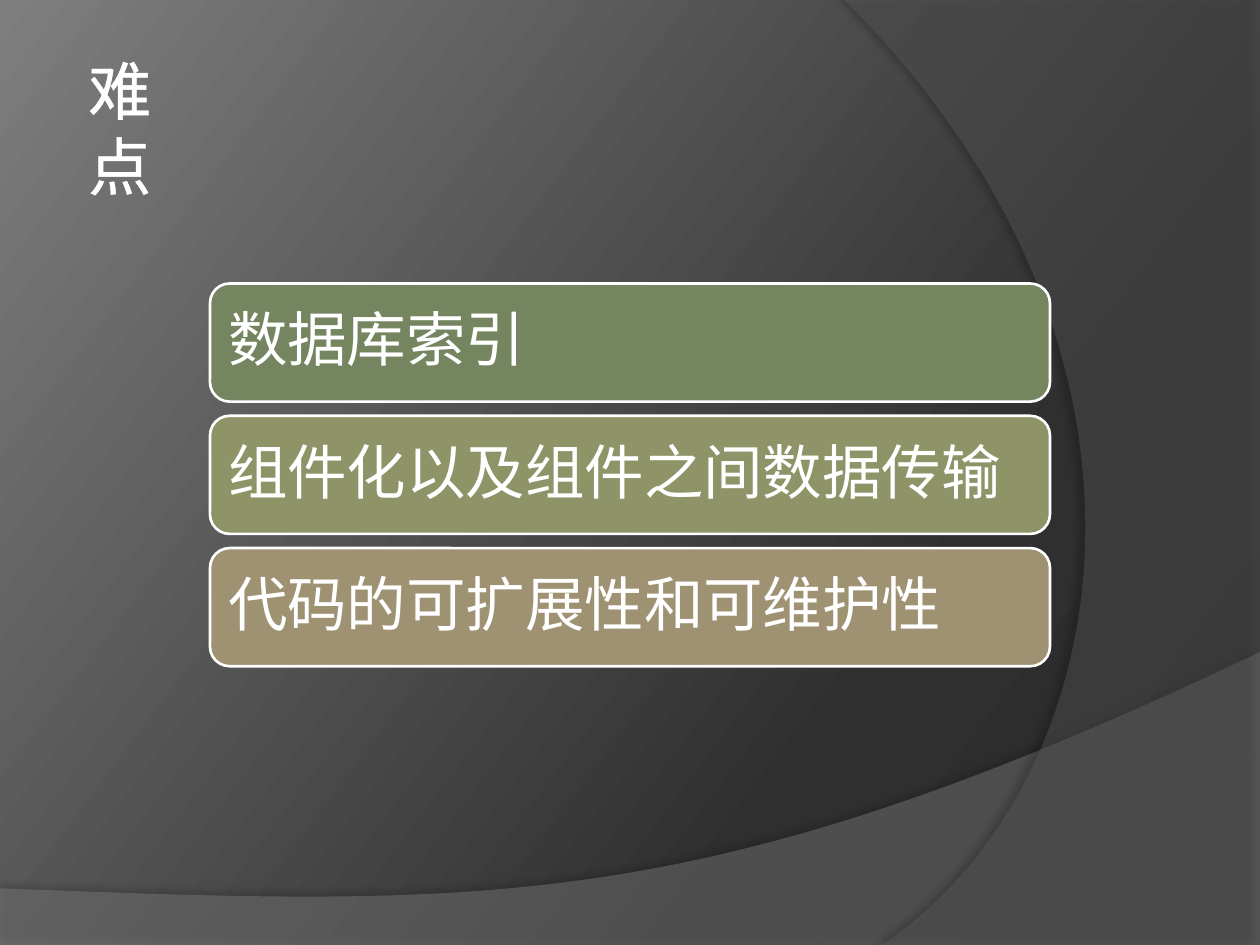
from copy import deepcopy

from lxml import etree
from pptx import Presentation
from pptx.dml.color import RGBColor
from pptx.enum.shapes import MSO_SHAPE
from pptx.enum.text import MSO_ANCHOR, MSO_AUTO_SIZE, PP_ALIGN
from pptx.oxml.ns import qn
from pptx.util import Inches, Pt

ROUNDED = MSO_SHAPE.ROUNDED_RECTANGLE
TOP, MIDDLE = MSO_ANCHOR.TOP, MSO_ANCHOR.MIDDLE
LEFT, CENTER = PP_ALIGN.LEFT, PP_ALIGN.CENTER
FIT_SHAPE = MSO_AUTO_SIZE.SHAPE_TO_FIT_TEXT
TITLE_ONLY = 5

WHITE = RGBColor(0xFF, 0xFF, 0xFF)
LIGHT_GRAY = RGBColor(0x7F, 0x7F, 0x7F)
MID_GRAY = RGBColor(0x5E, 0x5E, 0x5E)
BACKGROUND = [
    (0, RGBColor(0x28, 0x28, 0x28)),
    (0.3, RGBColor(0x2F, 0x2F, 0x2F)),
    (1, RGBColor(0x7E, 0x7E, 0x7E)),
]
DIFFICULTIES = [
    ("数据库索引", RGBColor(0x74, 0x85, 0x60)),
    ("组件化以及组件之间数据传输", RGBColor(0x8F, 0x93, 0x68)),
    ("代码的可扩展性和可维护性", RGBColor(0x9E, 0x92, 0x73)),
]


def apply(target, values):
    for name, value in values.items():
        setattr(target, name, value)


def curve(start, first, second, end, steps=60):
    """Return points along a cubic Bezier curve, without its start."""
    points = []
    for step in range(1, steps + 1):
        t = step / steps
        weights = ((1 - t) ** 3, 3 * t * (1 - t) ** 2, 3 * t * t * (1 - t), t ** 3)
        points.append(tuple(
            sum(weight * value for weight, value in zip(weights, axis))
            for axis in zip(start, first, second, end)
        ))
    return points


class SlideBuilder:
    """Style and current slide; places are shares of the slide's size."""

    font = {"name": "Arial", "bold": False}

    def __init__(self, deck):
        self.width, self.height = deck.slide_width, deck.slide_height
        self.page = deck.slides.add_slide(deck.slide_layouts[TITLE_ONLY])

    def place(self, x, y):
        return round(x * self.width), round(y * self.height)

    def background(self, stops, angle):
        fill = self.page.background.fill
        fill.gradient()
        fill.gradient_angle = angle
        stop_list = self.page.element.find(".//" + qn("a:gsLst"))
        stop_list.append(deepcopy(stop_list[-1]))
        for stop, (position, color) in zip(fill.gradient_stops, stops):
            stop.position = position
            stop.color.rgb = color

    def band(self, points, color, opacity, shadow):
        """Draw a translucent outline; shadow is opacity, blur, distance, angle."""
        places = [self.place(x, y) for x, y in points]
        builder = self.page.shapes.build_freeform(*places[0])
        builder.add_line_segments(places[1:], close=True)
        band = builder.convert_to_shape()
        band.fill.solid()
        band.fill.fore_color.rgb = color
        band.line.fill.background()
        properties = band.element.spPr
        fill_color = properties.find(".//" + qn("a:srgbClr"))
        etree.SubElement(fill_color, qn("a:alpha"), val=str(opacity * 1000))

        shadow_opacity, blur, distance, angle = shadow
        effects = etree.SubElement(properties, qn("a:effectLst"))
        outer = etree.SubElement(
            effects, qn("a:outerShdw"), blurRad=str(int(Pt(blur))),
            dist=str(int(Pt(distance))), dir=str(angle * 60000), rotWithShape="0")
        shade = etree.SubElement(outer, qn("a:srgbClr"), val="000000")
        etree.SubElement(shade, qn("a:alpha"), val=str(shadow_opacity * 1000))

    def add_text(self, shape, text, size, align, frame_format):
        frame = shape.text_frame
        apply(frame, frame_format)
        para = frame.paragraphs[0]
        para.alignment = align
        span = para.add_run()
        span.text = text
        apply(span.font, {**self.font, "size": Pt(size)})
        span.font.color.rgb = WHITE
        return para

    def title(self, text, x, y, width, height):
        title = self.page.shapes.title
        title.left, title.top = self.place(x, y)
        title.width, title.height = self.place(width, height)
        self.add_text(title, text, 36, CENTER, {
            "word_wrap": False, "vertical_anchor": TOP, "auto_size": FIT_SHAPE})
        outline = etree.Element(qn("a:ln"), w=str(int(Pt(1.45))))
        fill = etree.SubElement(outline, qn("a:solidFill"))
        etree.SubElement(fill, qn("a:srgbClr"), val=str(WHITE))
        title.element.find(".//" + qn("a:rPr")).insert(0, outline)

    def bar(self, text, color, x, y, width, height):
        box = self.page.shapes.add_shape(
            ROUNDED, *self.place(x, y), *self.place(width, height))
        box.shadow.inherit = False
        box.fill.solid()
        box.fill.fore_color.rgb = color
        box.line.color.rgb = WHITE
        box.line.width = Pt(1.5)
        sides = ("left", "right", "top", "bottom")
        margins = {f"margin_{side}": Inches(0.1) for side in sides}
        para = self.add_text(box, text, 34, LEFT, {
            "word_wrap": True, "vertical_anchor": MIDDLE, **margins})
        para.line_spacing = 0.9


def main():
    deck = Presentation()
    deck.slide_width, deck.slide_height = Inches(10), Inches(7.5)
    slide = SlideBuilder(deck)
    slide.background(BACKGROUND, angle=143)

    right_end, left_end = (1, 0.69), (0, 0.94)
    slide.band(
        [left_end, (0, 1), (1, 1), right_end,
         *curve(right_end, (0.56, 0.97), (0.39, 0.96), left_end)],
        LIGHT_GRAY, 45, (35, 4, 3.5, 270))
    bottom_end, top_end = (0.7, 1), (0.67, 0)
    slide.band(
        [(1, 0), (1, 1), bottom_end,
         *curve(bottom_end, (0.89, 0.83), (0.95, 0.37), top_end)],
        MID_GRAY, 40, (45, 4, 4, 180))

    slide.title("难点", 0.035, 0.048, 0.12, 0.095)
    first_top, pitch = 0.3, 0.14
    for row, (text, color) in enumerate(DIFFICULTIES):
        slide.bar(text, color, 1 / 6, first_top + row * pitch, 2 / 3, 0.125)

    deck.save("out.pptx")


if __name__ == "__main__":
    main()
